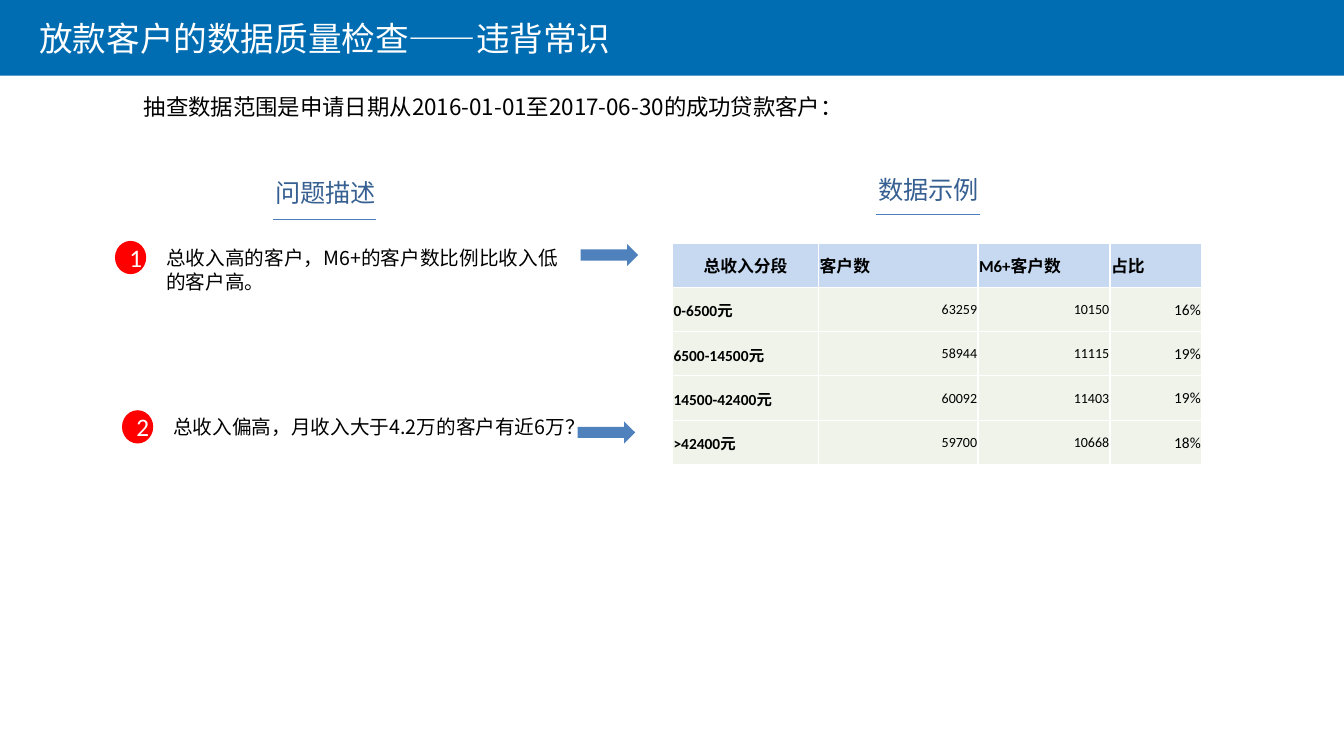
from dataclasses import dataclass

from lxml import etree
from pptx import Presentation
from pptx.dml.color import RGBColor
from pptx.enum import shapes, text
from pptx.oxml import ns
from pptx.oxml import parse_xml
from pptx.util import Inches, Pt

WHITE = RGBColor(0xFF, 0xFF, 0xFF)
BLACK = RGBColor(0x00, 0x00, 0x00)
BANNER_BLUE = RGBColor(0x00, 0x6D, 0xB2)
BADGE_RED = RGBColor(0xFF, 0x00, 0x00)
HEADING_BLUE = RGBColor(0x37, 0x60, 0x92)
ARROW_BLUE = RGBColor(0x4F, 0x81, 0xBD)
RULE_BLUE = RGBColor(0x4B, 0x7E, 0xBC)
HEADER_FILL = RGBColor(0xC6, 0xD9, 0xF1)
BODY_FILL = RGBColor(0xEF, 0xF3, 0xEA)
CJK_FONT = "Noto Sans CJK SC"
LATIN_FONT = "Calibri"


@dataclass
class Label:
    content: str
    left: float
    top: float
    width: float
    height: float
    size: int
    color: RGBColor
    wrap: bool = True


@dataclass
class Issue:
    number: str
    content: str
    left: float
    top: float
    arrow_left: float
    arrow_top: float


@dataclass
class Rule:
    left: float
    right: float
    top: float


LABELS = [
    Label("放款客户的数据质量检查——违背常识", 0.29, 0.13, 9.61, 0.5, 24, WHITE),
    Label("抽查数据范围是申请日期从2016-01-01至2017-06-30的成功贷款客户：",
          1.33, 0.88, 10.47, 0.37, 16, BLACK),
    Label("问题描述", 2.63, 1.71, 1.21, 0.4, 18, HEADING_BLUE, False),
    Label("数据示例", 8.61, 1.68, 1.21, 0.4, 18, HEADING_BLUE, False),
]
ISSUES = [
    Issue("1", "总收入高的客户，M6+的客户数比例比收入低的客户高。", 1.14, 2.39, 5.76, 2.42),
    Issue("2", "总收入偏高，月收入大于4.2万的客户有近6万？", 1.21, 4.07, 5.73, 4.18),
]
RULES = [Rule(2.71, 3.73, 2.18), Rule(8.69, 9.72, 2.13)]
INCOME_ROWS = [
    ("总收入分段", "客户数", "M6+客户数", "占比"),
    ("0-6500元", "63259", "10150", "16%"),
    ("6500-14500元", "58944", "11115", "19%"),
    ("14500-42400元", "60092", "11403", "19%"),
    (">42400元", "59700", "10668", "18%"),
]
COLUMN_WIDTHS = (1.45, 1.58, 1.31, 0.91)
BODY_SIZES = (11, 10, 10, 11)
ROW_HEIGHT = 0.44


def style_text(frame, size: int, color: RGBColor, font_name: str,
               bold: bool = False, align=text.PP_ALIGN.LEFT) -> None:
    for paragraph in frame.paragraphs:
        paragraph.alignment = align
        for run in paragraph.runs:
            run.font.size = Pt(size)
            run.font.bold = bold
            run.font.color.rgb = color
            run.font.name = font_name
            east_asian = etree.SubElement(run.font._element, ns.qn("a:ea"))
            east_asian.set("typeface", CJK_FONT)


def add_label(slide, label: Label) -> None:
    box = slide.shapes.add_textbox(Inches(label.left), Inches(label.top),
                                   Inches(label.width), Inches(label.height))
    frame = box.text_frame
    frame.text = label.content
    frame.word_wrap = label.wrap
    frame.auto_size = text.MSO_AUTO_SIZE.SHAPE_TO_FIT_TEXT
    style_text(frame, label.size, label.color, CJK_FONT)


def add_filled_shape(slide, kind, left: float, top: float, width: float,
                     height: float, fill: RGBColor):
    shape = slide.shapes.add_shape(kind, Inches(left), Inches(top),
                                   Inches(width), Inches(height))
    shape.shadow.inherit = False
    shape.fill.solid()
    shape.fill.fore_color.rgb = fill
    shape.line.fill.background()
    return shape


def add_issue(slide, issue: Issue) -> None:
    badge = add_filled_shape(slide, shapes.MSO_SHAPE.OVAL, issue.left, issue.top,
                             0.31, 0.33, BADGE_RED)
    badge.text_frame.text = issue.number
    badge.text_frame.vertical_anchor = text.MSO_ANCHOR.MIDDLE
    style_text(badge.text_frame, 18, WHITE, LATIN_FONT, align=text.PP_ALIGN.CENTER)
    add_label(slide, Label(issue.content, issue.left + 0.41, issue.top,
                           4.18, 0.81, 14, BLACK))
    add_filled_shape(slide, shapes.MSO_SHAPE.RIGHT_ARROW, issue.arrow_left,
                     issue.arrow_top, 0.57, 0.22, ARROW_BLUE)


def add_rule(slide, rule: Rule) -> None:
    connector = slide.shapes.add_connector(
        shapes.MSO_CONNECTOR.STRAIGHT, Inches(rule.left), Inches(rule.top),
        Inches(rule.right), Inches(rule.top))
    connector.line.color.rgb = RULE_BLUE
    connector.line.width = Pt(0.75)
    etree.SubElement(connector._element.spPr, ns.qn("a:effectLst"))


def add_borders(cell) -> None:
    properties = cell._tc.get_or_add_tcPr()
    for position, side in enumerate(("lnL", "lnR", "lnT", "lnB")):
        properties.insert(position, parse_xml(
            f'<a:{side} {ns.nsdecls("a")} w="12700"><a:solidFill>'
            f'<a:srgbClr val="{WHITE}"/></a:solidFill></a:{side}>'))


def style_cell(cell, content: str, row: int, column: int) -> None:
    header = row == 0
    cell.text_frame.text = content
    cell.vertical_anchor = text.MSO_ANCHOR.MIDDLE
    cell.margin_left = cell.margin_right = cell.margin_top = Inches(0.01)
    cell.margin_bottom = Inches(0)
    cell.fill.solid()
    cell.fill.fore_color.rgb = HEADER_FILL if header else BODY_FILL
    align = text.PP_ALIGN.LEFT
    if header and column == 0:
        align = text.PP_ALIGN.CENTER
    elif not header and column > 0:
        align = text.PP_ALIGN.RIGHT
    style_text(cell.text_frame, 12 if header else BODY_SIZES[column], BLACK,
               LATIN_FONT, header or column == 0, align)
    add_borders(cell)


def add_income_table(slide) -> None:
    frame = slide.shapes.add_table(
        len(INCOME_ROWS), len(COLUMN_WIDTHS), Inches(6.67), Inches(2.41),
        Inches(sum(COLUMN_WIDTHS)), Inches(ROW_HEIGHT * len(INCOME_ROWS)))
    table = frame.table
    for column, width in zip(table.columns, COLUMN_WIDTHS):
        column.width = Inches(width)
    for row, contents in enumerate(INCOME_ROWS):
        table.rows[row].height = Inches(ROW_HEIGHT)
        for column, content in enumerate(contents):
            style_cell(table.cell(row, column), content, row, column)


def main() -> None:
    presentation = Presentation()
    presentation.slide_width = Inches(13.33)
    presentation.slide_height = Inches(7.5)
    slide = presentation.slides.add_slide(presentation.slide_layouts[6])
    add_filled_shape(slide, shapes.MSO_SHAPE.RECTANGLE, 0, 0, 13.33, 0.75, BANNER_BLUE)
    for label in LABELS:
        add_label(slide, label)
    for issue in ISSUES:
        add_issue(slide, issue)
    for rule in RULES:
        add_rule(slide, rule)
    add_income_table(slide)
    presentation.save("out.pptx")


if __name__ == "__main__":
    main()
